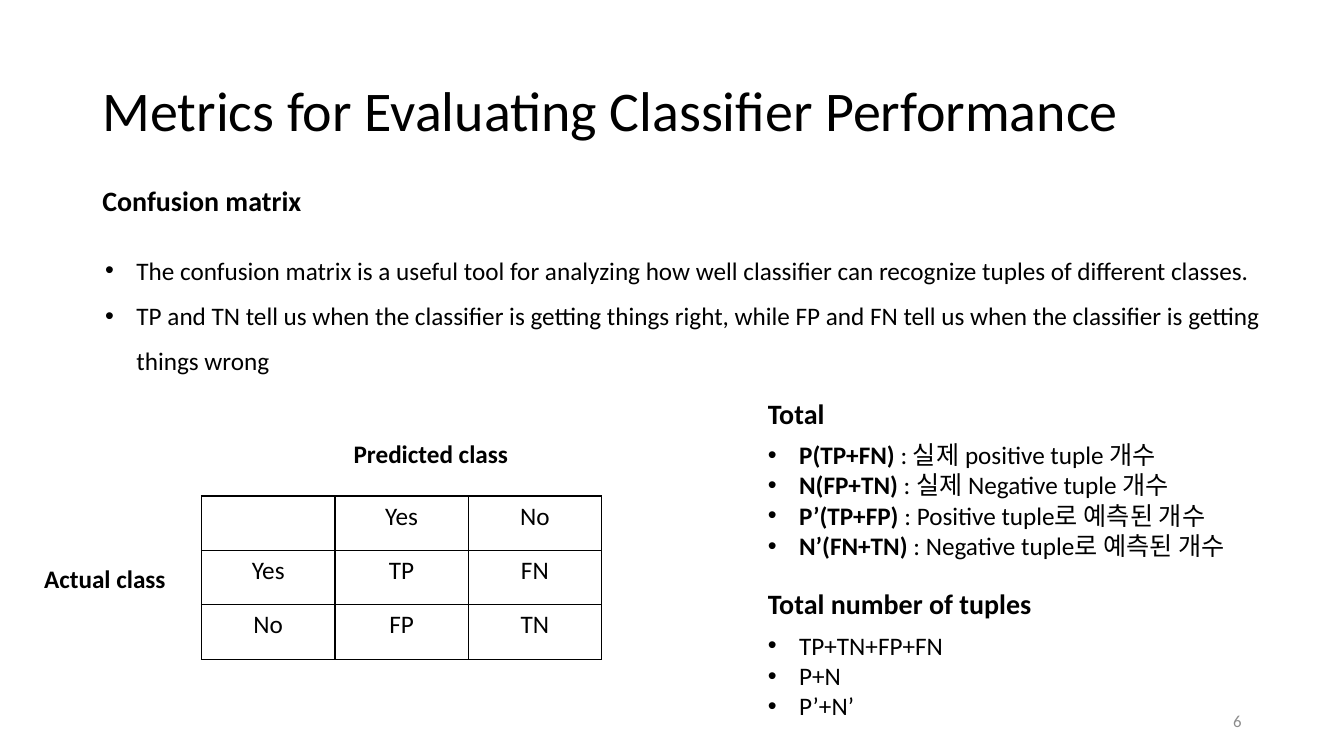
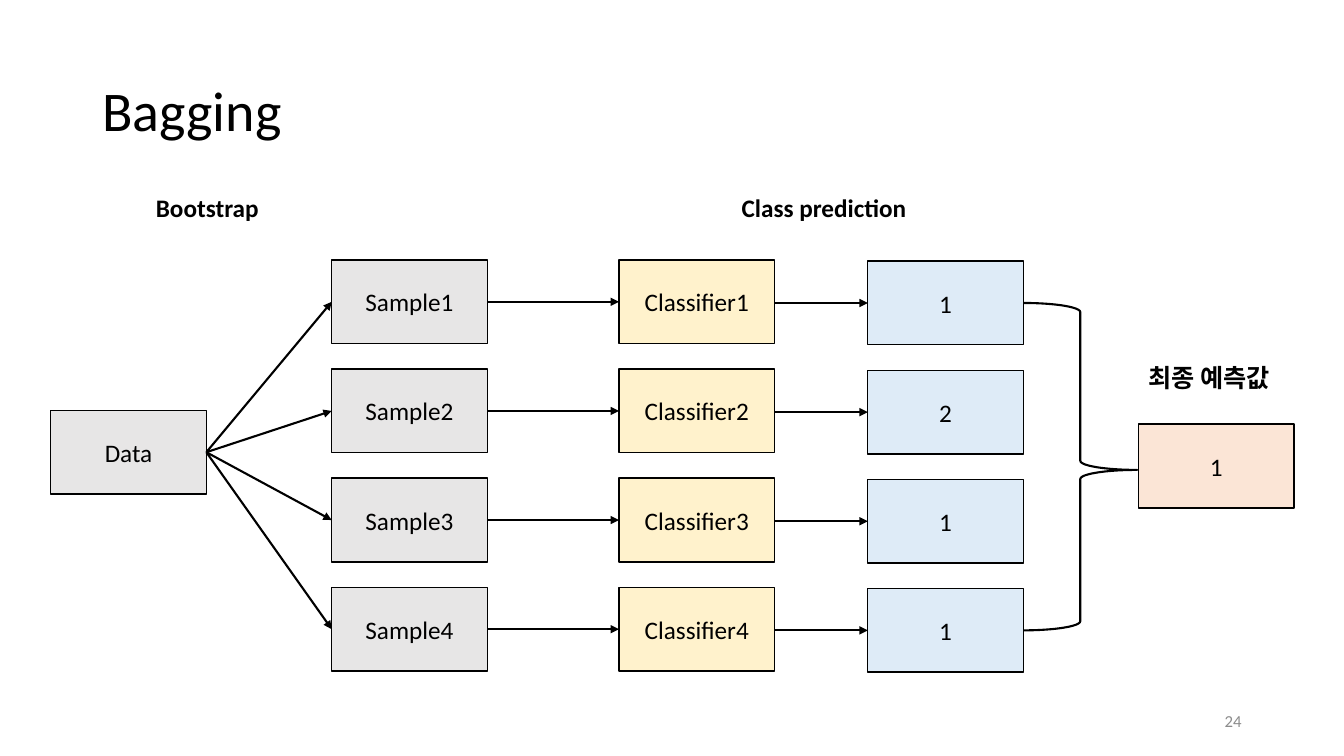
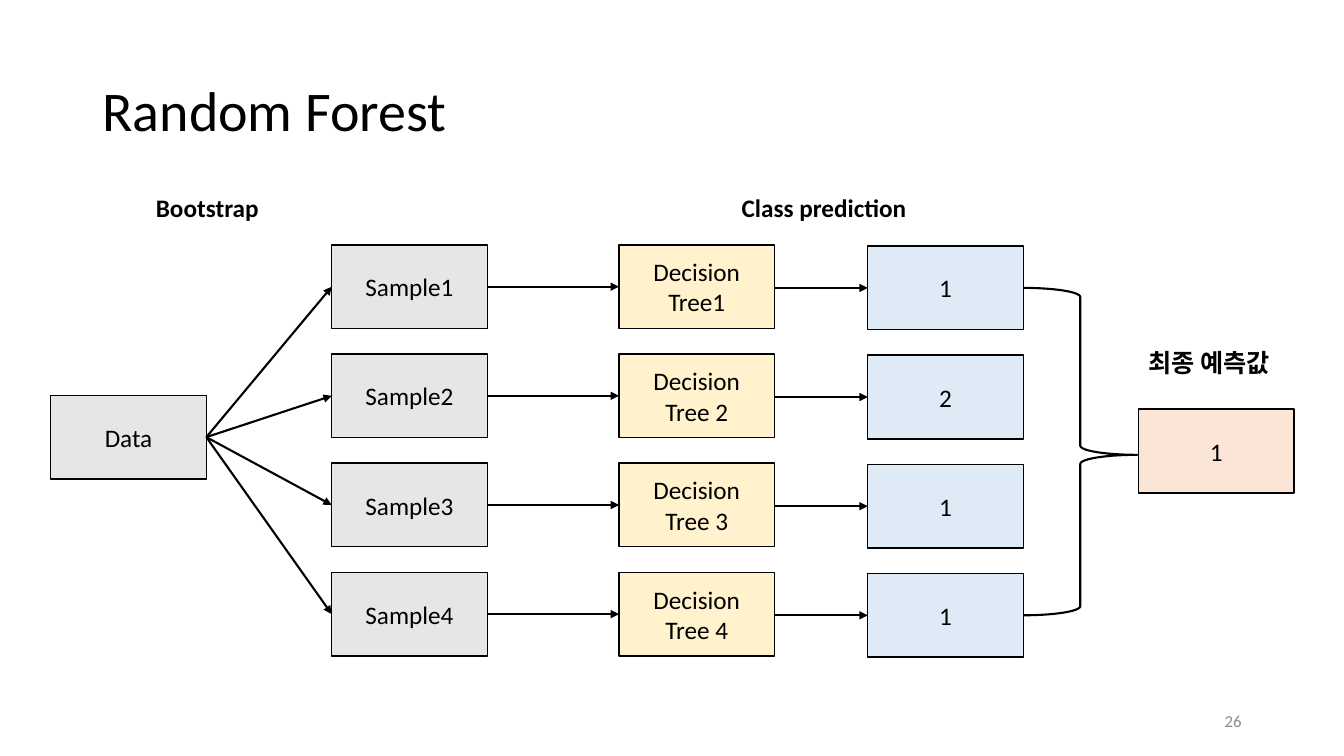
from pptx import Presentation
from pptx.dml.color import RGBColor
from pptx.enum.shapes import MSO_CONNECTOR, MSO_SHAPE
from pptx.enum.text import MSO_ANCHOR, PP_ALIGN
from pptx.oxml.ns import qn
from pptx.util import Cm, Pt
from lxml.etree import SubElement

# Shared style
FONT = "Calibri"
BLACK = RGBColor(0x00, 0x00, 0x00)
WHITE = RGBColor(0xFF, 0xFF, 0xFF)
PAGE_GRAY = RGBColor(0x8C, 0x8C, 0x8C)
GRAY = RGBColor(0xE7, 0xE6, 0xE6)
YELLOW = RGBColor(0xFF, 0xF2, 0xCC)
BLUE = RGBColor(0xDE, 0xEB, 0xF7)
PEACH = RGBColor(0xFB, 0xE5, 0xD6)
INDENT = Cm(0.79)

# Content: confusion matrix (a paragraph is a string or a list of (text, bold) runs)
MATRIX_NOTES = [
    "The confusion matrix is a useful tool for analyzing how well classifier can "
    "recognize tuples of different classes.",
    "TP and TN tell us when the classifier is getting things right, while FP and FN "
    "tell us when the classifier is getting things wrong",
]
MATRIX = [["", "Yes", "No"], ["Yes", "TP", "FN"], ["No", "FP", "TN"]]
TOTALS = [
    [("P(TP+FN) ", True), (": 실제 positive tuple 개수", False)],
    [("N(FP+TN) ", True), (": 실제 Negative tuple 개수", False)],
    [("P’(TP+FP)", True), (" : Positive tuple로 예측된 개수", False)],
    [("N’(FN+TN)", True), (" : Negative tuple로 예측된 개수", False)],
]
TUPLE_COUNTS = ["TP+TN+FP+FN", "P+N", "P’+N’"]

# Content: ensembles
SAMPLES = ["Sample1", "Sample2", "Sample3", "Sample4"]
PREDICTIONS = ["1", "2", "1", "1"]
FINAL_PREDICTION = "1"
ENSEMBLES = [
    {"title": "Bagging", "page": 24, "top": 6.55,
     "models": ["Classifier1", "Classifier2", "Classifier3", "Classifier4"]},
    {"title": "Random Forest", "page": 26, "top": 6.17,
     "models": ["Decision Tree1", "Decision Tree 2", "Decision Tree 3", "Decision Tree 4"]},
]

# Ensemble diagram grid, in cm
BOX_W, BOX_H, ROW_PITCH = 3.92, 2.11, 2.75
DATA_X, SAMPLE_X, MODEL_X, PREDICTION_X, FINAL_X = 1.28, 8.36, 15.6, 21.87, 28.69
PREDICTION_SHIFT = 0.03


def write_text(frame, paragraphs, size=18, bold=False, color=BLACK, align=None,
               anchor=MSO_ANCHOR.TOP, bullet=False, spacing=None):
    frame.word_wrap = True
    frame.vertical_anchor = anchor
    for index, content in enumerate(paragraphs):
        paragraph = frame.add_paragraph() if index else frame.paragraphs[0]
        if bullet:
            props = paragraph._p.get_or_add_pPr()
            props.set("marL", str(INDENT))
            props.set("indent", str(-INDENT))
            SubElement(props, qn("a:buFont")).set("typeface", "Arial")
            SubElement(props, qn("a:buChar")).set("char", "•")
        if align is not None:
            paragraph.alignment = align
        if spacing:
            paragraph.line_spacing = spacing
        runs = [(content, bold)] if isinstance(content, str) else content
        for words, is_bold in runs:
            run = paragraph.add_run()
            run.text = words
            run.font.name = FONT
            run.font.size = Pt(size)
            run.font.bold = is_bold
            run.font.color.rgb = color


def add_text(slide, x, y, w, h, paragraphs, **style):
    area = slide.shapes.add_textbox(Cm(x), Cm(y), Cm(w), Cm(h))
    write_text(area.text_frame, paragraphs, **style)


def add_titled_slide(deck, title, page, title_width=29.21):
    slide = deck.slides.add_slide(deck.slide_layouts[5])
    heading = slide.shapes.title
    heading.left, heading.top = Cm(2.33), Cm(1.01)
    heading.width, heading.height = Cm(title_width), Cm(3.68)
    write_text(heading.text_frame, [title], size=40, align=PP_ALIGN.LEFT,
               anchor=MSO_ANCHOR.MIDDLE, spacing=0.9)
    add_text(slide, 23.92, 17.66, 7.62, 1.01, [str(page)], size=12, color=PAGE_GRAY,
             align=PP_ALIGN.RIGHT, anchor=MSO_ANCHOR.MIDDLE)
    return slide


def add_box(slide, x, y, label, fill):
    box = slide.shapes.add_shape(MSO_SHAPE.RECTANGLE, Cm(x), Cm(y), Cm(BOX_W), Cm(BOX_H))
    box.shadow.inherit = False
    box.fill.solid()
    box.fill.fore_color.rgb = fill
    box.line.color.rgb = BLACK
    box.line.width = Pt(1)
    write_text(box.text_frame, [label], align=PP_ALIGN.CENTER, anchor=MSO_ANCHOR.MIDDLE)


def add_arrow(slide, x1, y1, x2, y2):
    arrow = slide.shapes.add_connector(MSO_CONNECTOR.STRAIGHT, Cm(x1), Cm(y1), Cm(x2), Cm(y2))
    arrow.line.color.rgb = BLACK
    arrow.line.width = Pt(1.5)
    SubElement(arrow.line._get_or_add_ln(), qn("a:tailEnd")).set("type", "triangle")
    SubElement(arrow._element.spPr, qn("a:effectLst"))


def add_brace(slide, x, y, w, h):
    brace = slide.shapes.add_shape(MSO_SHAPE.RIGHT_BRACE, Cm(x), Cm(y), Cm(w), Cm(h))
    brace.adjustments[0], brace.adjustments[1] = 0.08, 0.51
    brace.shadow.inherit = False
    brace.fill.background()
    brace.line.color.rgb = BLACK
    brace.line.width = Pt(1.5)


def add_border(cell):
    props = cell._tc.get_or_add_tcPr()
    for side in ("lnL", "lnR", "lnT", "lnB"):
        edge = SubElement(props, qn(f"a:{side}"), w=str(Pt(1)))
        paint = SubElement(edge, qn("a:solidFill"))
        SubElement(paint, qn("a:srgbClr")).set("val", str(BLACK))


def add_matrix(slide, x, y, col_w, row_h):
    rows, cols = len(MATRIX), len(MATRIX[0])
    matrix = slide.shapes.add_table(rows, cols, Cm(x), Cm(y),
                                    Cm(cols * col_w), Cm(rows * row_h)).table
    matrix.first_row = matrix.horz_banding = False
    for column in matrix.columns:
        column.width = Cm(col_w)
    for row, labels in zip(matrix.rows, MATRIX):
        row.height = Cm(row_h)
        for cell, label in zip(row.cells, labels):
            add_border(cell)
            cell.fill.solid()
            cell.fill.fore_color.rgb = WHITE
            if label:
                write_text(cell.text_frame, [label], align=PP_ALIGN.CENTER)


def build_metrics(deck):
    slide = add_titled_slide(deck, "Metrics for Evaluating Classifier Performance", 6,
                             title_width=31.98)
    add_text(slide, 2.33, 4.5, 5.7, 1.11, ["Confusion matrix"], size=20, bold=True)
    add_text(slide, 2.4, 5.92, 30.66, 3.61, MATRIX_NOTES, bullet=True, spacing=1.5)

    # Matrix with its axis labels
    add_matrix(slide, 5.08, 12.5, 3.36, 1.37)
    add_text(slide, 8.66, 10.93, 6.12, 1.03, ["Predicted class"], bold=True)
    add_text(slide, 0.86, 14.08, 3.7, 1.03, ["Actual class"], bold=True)

    # Totals
    add_text(slide, 19.1, 9.87, 2.2, 1.11, ["Total"], size=20, bold=True)
    add_text(slide, 19.1, 10.95, 12.62, 3.33, TOTALS, bullet=True)
    add_text(slide, 19.1, 14.66, 7.4, 1.11, ["Total number of tuples"], size=20, bold=True)
    add_text(slide, 19.1, 15.75, 9.4, 2.56, TUPLE_COUNTS, bullet=True)


def build_ensemble(deck, title, page, top, models):
    slide = add_titled_slide(deck, title, page)
    add_text(slide, 3.68, 4.71, 5.38, 1.03, ["Bootstrap"], bold=True)
    add_text(slide, 18.44, 4.71, 4.88, 1.03, ["Class prediction"], bold=True)

    # Source data
    data_y = top + 3.79
    add_box(slide, DATA_X, data_y, "Data", GRAY)

    # One row per sample
    for row, (sample, model, prediction) in enumerate(zip(SAMPLES, models, PREDICTIONS)):
        y = top + row * ROW_PITCH
        middle = y + BOX_H / 2
        voted = middle + PREDICTION_SHIFT
        add_box(slide, SAMPLE_X, y, sample, GRAY)
        add_box(slide, MODEL_X, y, model, YELLOW)
        add_box(slide, PREDICTION_X, y + PREDICTION_SHIFT, prediction, BLUE)
        add_arrow(slide, DATA_X + BOX_W, data_y + BOX_H / 2, SAMPLE_X, middle)
        add_arrow(slide, SAMPLE_X + BOX_W, middle, MODEL_X, middle)
        add_arrow(slide, MODEL_X + BOX_W, voted, PREDICTION_X, voted)

    # Final vote
    add_brace(slide, PREDICTION_X + BOX_W, top + BOX_H / 2 + PREDICTION_SHIFT,
              2.87, ROW_PITCH * (len(SAMPLES) - 1))
    add_text(slide, FINAL_X, top + 2.46, 4.88, 1.03, ["최종 예측값"], bold=True)
    add_box(slide, FINAL_X, top + 4.14, FINAL_PREDICTION, PEACH)


def main():
    deck = Presentation()
    deck.slide_width, deck.slide_height = Cm(33.87), Cm(19.05)
    build_metrics(deck)
    for ensemble in ENSEMBLES:
        build_ensemble(deck, **ensemble)
    deck.save("out.pptx")


if __name__ == "__main__":
    main()
